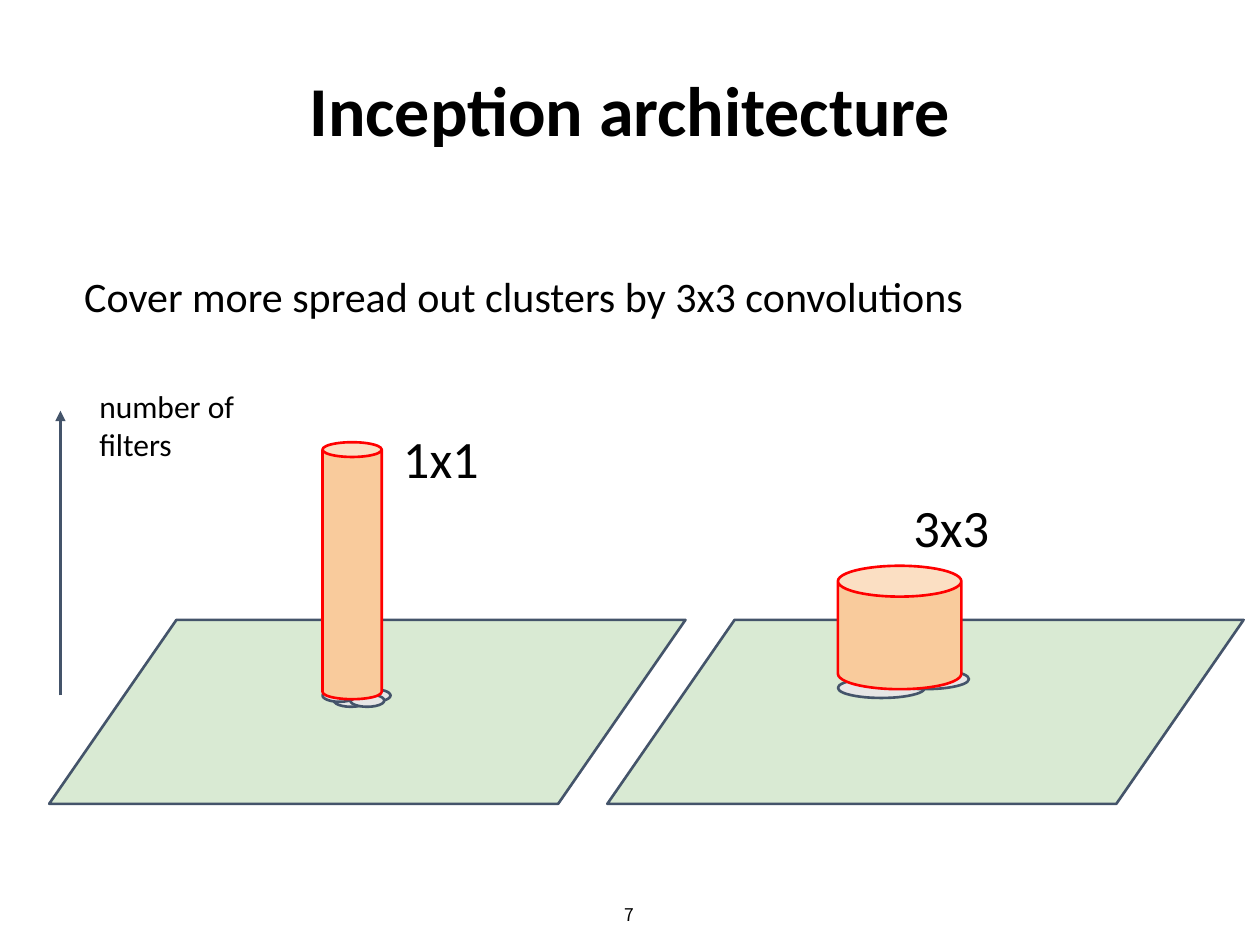
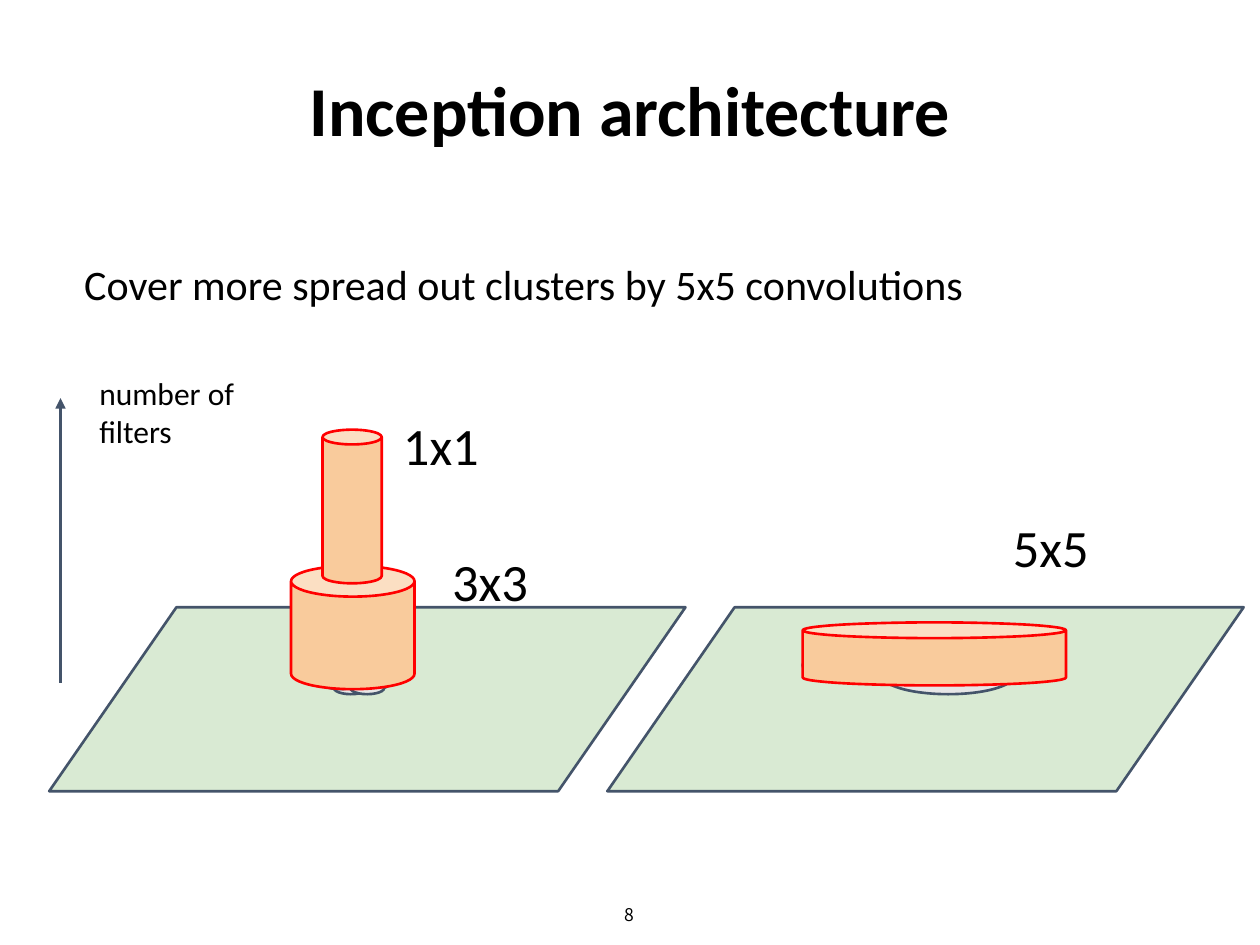
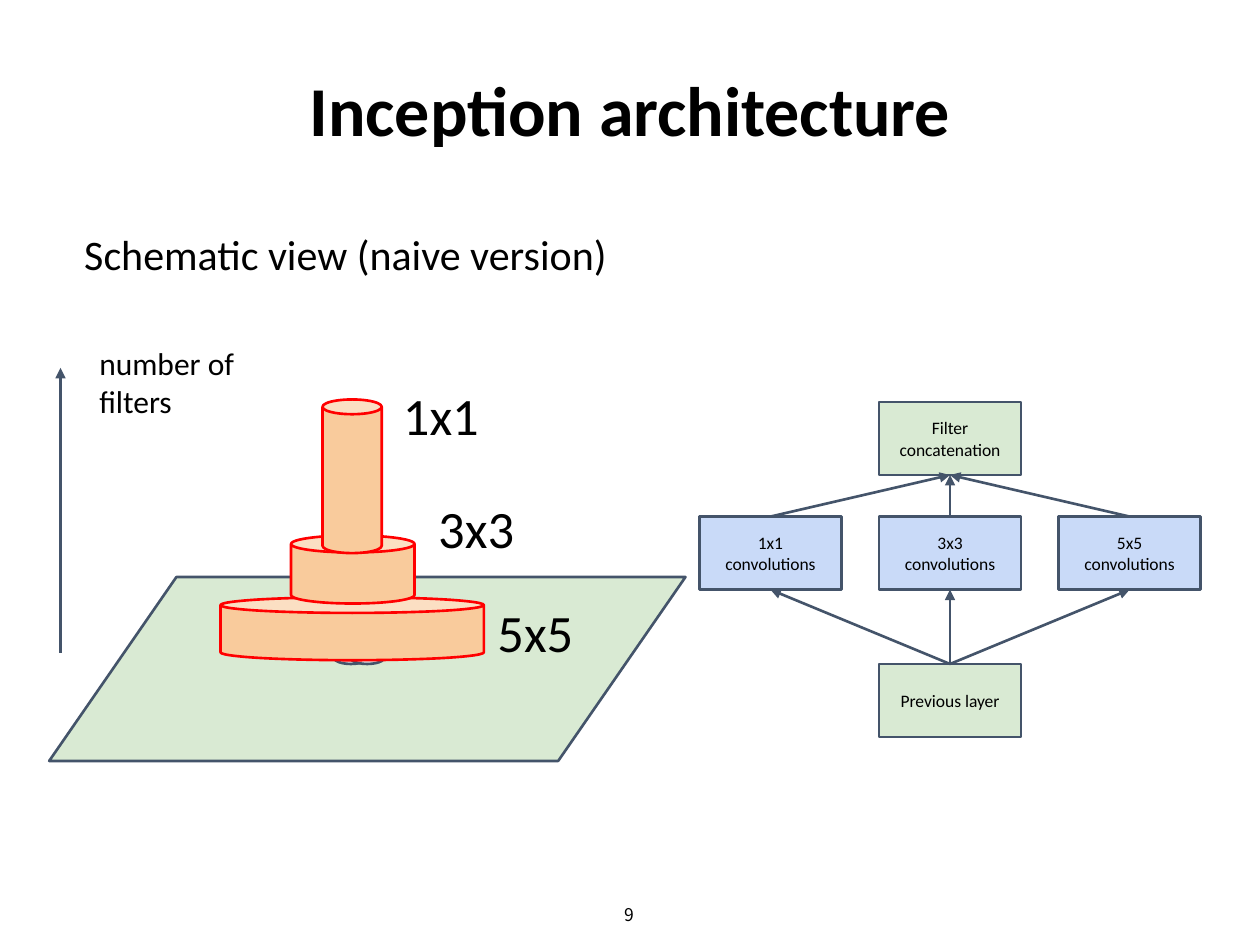
from dataclasses import dataclass

from lxml.etree import SubElement
from pptx import Presentation
from pptx.dml.color import RGBColor
from pptx.enum.shapes import MSO_CONNECTOR as CONNECTOR, MSO_SHAPE as SHAPE
from pptx.enum.text import MSO_ANCHOR as ANCHOR, PP_ALIGN as ALIGN
from pptx.oxml.ns import qn
from pptx.util import Inches, Pt


@dataclass(frozen=True)
class Theme:
    text: str = "000000"
    edge: str = "44546A"
    green: str = "D9EAD3"
    blue: str = "C9DAF8"
    grey: str = "E7E6E6"
    orange: str = "F9CB9C"
    red: str = "FF0000"
    font: str = "Calibri"
    number_font: str = "Noto Sans CJK KR"
    title_size: int = 40
    label_size: int = 30
    heading_size: int = 24
    axis_size: int = 18
    small_size: int = 10
    line_width: float = 1.5


theme = Theme()


def add_shape(slide, kind, box, fill, edge=theme.edge):
    s = slide.shapes.add_shape(kind, *map(Inches, box))
    s.shadow.inherit = False
    s.fill.solid()
    s.fill.fore_color.rgb = RGBColor.from_string(fill)
    s.line.color.rgb = RGBColor.from_string(edge)
    s.line.width = Pt(theme.line_width)
    return s


def set_text(s, text, size, centered=False, bold=False, font=theme.font):
    tf = s.text_frame
    tf.word_wrap = True
    tf.margin_left = tf.margin_right = tf.margin_top = tf.margin_bottom = Inches(0.1)
    tf.vertical_anchor = ANCHOR.MIDDLE if centered else ANCHOR.TOP
    tf.text = text
    p = tf.paragraphs[0]
    p.alignment = ALIGN.CENTER if centered else ALIGN.LEFT
    r = p.runs[0]
    r.font.name = font
    r.font.size = Pt(size)
    r.font.bold = bold
    r.font.color.rgb = RGBColor.from_string(theme.text)


CLUSTER = [(2.56, 0.48), (2.65, 0.55), (2.75, 0.48), (2.83, 0.55),
           (2.65, 0.59), (2.78, 0.59), (2.56, 0.55)]

views = [
    {
        "heading": "Cover more spread out clusters by 3x3 convolutions",
        "plane_top": 4.92,
        "planes": [0.39, 4.82],
        "spread": [(6.73, 5.25, 0.69, 0.16), (6.65, 5.38, 0.69, 0.16), (7, 5.31, 0.69, 0.16)],
        "cans": [(2.56, 3.51, 0.47, 2.04), (6.65, 4.49, 0.98, 0.98)],
        "labels": [("1x1", 3.1, 3.28), ("3x3", 7.15, 3.83)],
    },
    {
        "heading": "Cover more spread out clusters by 5x5 convolutions",
        "plane_top": 4.82,
        "planes": [0.39, 4.82],
        "spread": [(6.37, 5.15, 1.05, 0.26), (7, 5.21, 1.05, 0.3)],
        "cans": [(2.31, 4.49, 0.98, 0.98), (2.56, 3.41, 0.47, 1.22), (6.37, 4.94, 2.09, 0.5)],
        "labels": [("1x1", 3.1, 3.18), ("3x3", 3.49, 4.26), ("5x5", 7.94, 3.99)],
    },
    {
        "heading": "Schematic view (naive version)",
        "plane_top": 4.58,
        "planes": [0.39],
        "spread": [],
        "cans": [(1.75, 4.74, 2.09, 0.5), (2.31, 4.25, 0.98, 0.54), (2.56, 3.17, 0.47, 1.22)],
        "labels": [("1x1", 3.1, 2.94), ("3x3", 3.38, 3.84), ("5x5", 3.85, 4.66)],
    },
]

prs = Presentation()
prs.slide_width = Inches(10)
prs.slide_height = Inches(7.5)
arrows = []

for number, view in enumerate(views, start=7):
    slide = prs.slides.add_slide(prs.slide_layouts[6])
    top = view["plane_top"]

    s = slide.shapes.add_textbox(*map(Inches, (3.83, 7.06, 2.33, 0.4)))
    set_text(s, str(number), theme.small_size, centered=True, font=theme.number_font)
    s = slide.shapes.add_textbox(*map(Inches, (0.69, 0.41, 8.62, 0.9)))
    set_text(s, "Inception architecture", theme.title_size, centered=True, bold=True)
    s = slide.shapes.add_textbox(*map(Inches, (0.57, top - 2.87, 9.18, 0.56)))
    set_text(s, view["heading"], theme.heading_size)

    for left in view["planes"]:
        add_shape(slide, SHAPE.FLOWCHART_DATA, (left, top, 5.05, 1.46), theme.green)
    for left, drop in CLUSTER:
        add_shape(slide, SHAPE.OVAL, (left, top + drop, 0.27, 0.1), theme.grey)
    for box in view["spread"]:
        add_shape(slide, SHAPE.OVAL, box, theme.grey)
    for box in view["cans"]:
        add_shape(slide, SHAPE.CAN, box, theme.orange, theme.red)
    for text, left, label_top in view["labels"]:
        s = slide.shapes.add_textbox(*map(Inches, (left, label_top, 1.44, 0.64)))
        set_text(s, text, theme.label_size)

    s = slide.shapes.add_textbox(*map(Inches, (0.69, top - 1.95, 1.44, 0.54)))
    set_text(s, "number of filters", theme.axis_size)
    arrows.append((slide, (0.48, top + 0.6), (0.48, top - 1.66)))

box_w, box_h = 1.13, 0.58
columns = [5.55 + 1.425 * i for i in range(3)]
concat_top, conv_top, previous_top = 3.19, 4.1, 5.27
middle = columns[1] + box_w / 2
blocks = [
    ("Filter concatenation", columns[1], concat_top, theme.green),
    ("Previous layer", columns[1], previous_top, theme.green),
]
for text, left in zip(("1x1", "3x3", "5x5"), columns):
    center = left + box_w / 2
    blocks.append((f"{text} convolutions", left, conv_top, theme.blue))
    arrows.append((slide, (center, conv_top), (middle, concat_top + box_h)))
    arrows.append((slide, (middle, previous_top), (center, conv_top + box_h)))
for text, left, block_top, fill in blocks:
    s = add_shape(slide, SHAPE.RECTANGLE, (left, block_top, box_w, box_h), fill)
    set_text(s, text, theme.small_size, centered=True)

for slide, start, end in arrows:
    s = slide.shapes.add_connector(CONNECTOR.STRAIGHT, *map(Inches, start + end))
    s.line.color.rgb = RGBColor.from_string(theme.edge)
    s.line.width = Pt(theme.line_width)
    SubElement(s.line._get_or_add_ln(), qn("a:tailEnd"), type="triangle", w="med", len="med")
    SubElement(s._element.spPr, qn("a:effectLst"))

prs.save("out.pptx")
